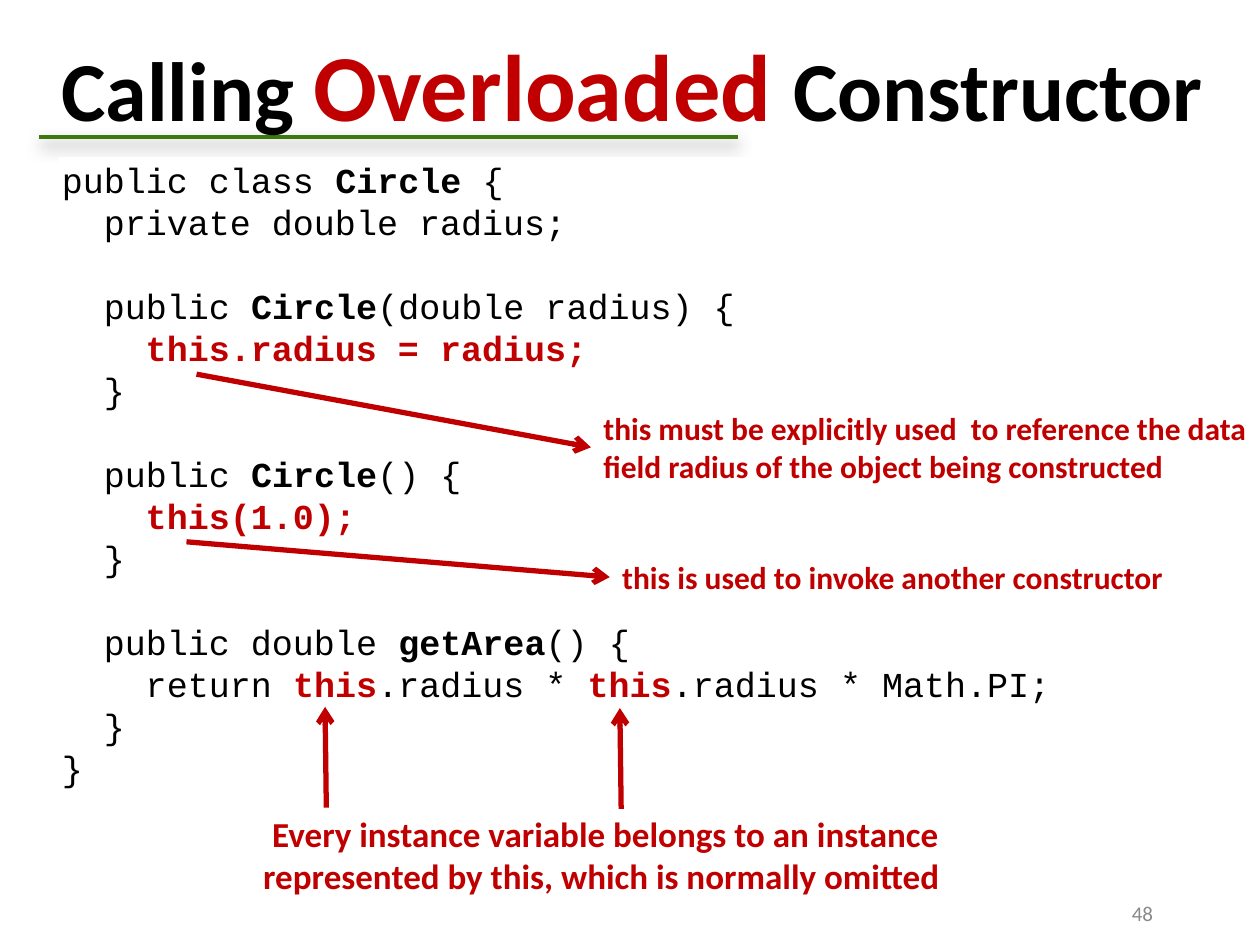
from lxml import etree
from pptx import Presentation
from pptx.dml.color import RGBColor
from pptx.enum.shapes import MSO_CONNECTOR, MSO_SHAPE
from pptx.enum.text import MSO_ANCHOR, PP_ALIGN
from pptx.oxml import parse_xml
from pptx.oxml.ns import nsdecls, qn
from pptx.util import Inches, Pt

STRAIGHT = MSO_CONNECTOR.STRAIGHT
RECTANGLE = MSO_SHAPE.RECTANGLE
TOP, MIDDLE = MSO_ANCHOR.TOP, MSO_ANCHOR.MIDDLE
LEFT, CENTER, RIGHT = PP_ALIGN.LEFT, PP_ALIGN.CENTER, PP_ALIGN.RIGHT

BLACK, RED, GREEN, GRAY, WHITE = "000000", "C00000", "3B780E", "898989", "FFFFFF"
rgb = RGBColor.from_string

prs = Presentation()
prs.slide_width, prs.slide_height = Inches(10), Inches(7.5)
COL, ROW = prs.slide_width / 100, prs.slide_height / 75
slide = prs.slides.add_slide(prs.slide_layouts[6])


def add_line(start, end, color, width):
    """Draw a straight line without a shadow between two grid points."""
    line = slide.shapes.add_connector(
        STRAIGHT, int(start[0] * COL), int(start[1] * ROW), int(end[0] * COL), int(end[1] * ROW))
    line.line.color.rgb = rgb(color)
    line.line.width = Pt(width)
    etree.SubElement(line._element.spPr, qn("a:effectLst"))
    return line


def add_text(box, text, size, color, bold=True, align=LEFT, anchor=TOP, wrap=True):
    """Add one paragraph in a box given as column, row, columns, rows."""
    left, top, width, height = box
    frame = slide.shapes.add_textbox(
        int(left * COL), int(top * ROW), int(width * COL), int(height * ROW)).text_frame
    frame.word_wrap = wrap
    frame.vertical_anchor = anchor
    paragraph = frame.paragraphs[0]
    paragraph.alignment = align
    font = paragraph.font
    font.name, font.size, font.bold = "Calibri", Pt(size), bold
    font.color.rgb = rgb(color)
    paragraph.add_run().text = text
    return paragraph


# Title with its green rule
title_rule = add_line((3.1, 10.9), (58.6, 10.9), GREEN, 2.5)
title_rule._element.spPr.find(qn("a:effectLst")).append(parse_xml(
    f'<a:outerShdw {nsdecls("a")} blurRad="{Pt(9)}" dist="{Pt(4)}" dir="5400000" rotWithShape="0">'
    f'<a:srgbClr val="{BLACK}"><a:alpha val="43000"/></a:srgbClr></a:outerShdw>'))

add_text((71.7, 70, 20.8, 5), "48", 12, GRAY, bold=False, align=RIGHT, anchor=MIDDLE)

title = add_text((3.9, 2.5, 93, 8.3), "Calling ", 48, BLACK, anchor=MIDDLE)
emphasis = title.add_run()
emphasis.text = "Overloaded "
emphasis.font.size = Pt(54)
emphasis.font.color.rgb = rgb(RED)
title.add_run().text = "Constructor"

# Code: indent level, blank line before, runs of (text, style)
PLAIN, NAME, KEY = (BLACK, False), (BLACK, True), (RED, True)
code_lines = [
    (0, False, [("public class ", PLAIN), ("Circle", NAME), (" {", PLAIN)]),
    (1, False, [("private double radius;", PLAIN)]),
    (1, True, [("public ", PLAIN), ("Circle", NAME), ("(double radius) {", PLAIN)]),
    (2, False, [("this.radius = radius;", KEY)]),
    (1, False, [("}", PLAIN)]),
    (1, True, [("public ", PLAIN), ("Circle", NAME), ("() {", PLAIN)]),
    (2, False, [("this(1.0);", KEY)]),
    (1, False, [("}", PLAIN)]),
    (1, True, [("public double ", PLAIN), ("getArea", NAME), ("() {", PLAIN)]),
    (2, False, [("return ", PLAIN), ("this", KEY), (".radius * ", PLAIN),
                ("this", KEY), (".radius * Math.PI;", PLAIN)]),
    (1, False, [("}", PLAIN)]),
    (0, False, [("}", PLAIN)]),
]
CODE_SIZE, CODE_PITCH, CODE_INDENT = Pt(20), Pt(24), Pt(24)

listing = slide.shapes.add_shape(
    RECTANGLE, int(4.7 * COL), int(12.5 * ROW), int(81.2 * COL), int(50.8 * ROW))
listing.shadow.inherit = False
listing.fill.solid()
listing.fill.fore_color.rgb = rgb(WHITE)
listing.line.color.rgb = rgb(WHITE)
listing.line.width = Pt(0.75)
code = listing.text_frame
code.word_wrap = True
code.vertical_anchor = TOP
code.margin_left, code.margin_top = Inches(0.02), Inches(0.01)
code.margin_right, code.margin_bottom = Inches(0.01), 0

for number, (level, gap_before, pieces) in enumerate(code_lines):
    paragraph = code.add_paragraph() if number else code.paragraphs[0]
    paragraph.alignment = LEFT
    paragraph.line_spacing = CODE_PITCH
    paragraph.space_before = CODE_PITCH if gap_before else 0
    paragraph._p.get_or_add_pPr().set("marL", str(level * CODE_INDENT))
    paragraph.font.name, paragraph.font.size = "Courier New", CODE_SIZE
    for text, (color, bold) in pieces:
        run = paragraph.add_run()
        run.text = text
        run.font.bold = bold
        run.font.color.rgb = rgb(color)

# Remarks and the arrows that lead to them
add_text((14.1, 64, 67.9, 7.7),
         "Every instance variable belongs to an instance represented by this, "
         "which is normally omitted ", 20, RED, align=CENTER)
add_text((46.9, 32, 53.1, 7.1),
         "this must be explicitly used  to reference the data field radius "
         "of the object being constructed", 18, RED)
add_text((48.4, 43.8, 45.3, 4), "this is used to invoke another constructor", 18, RED, wrap=False)

arrows = [
    ((15.6, 29.7), (46.9, 35.5)),
    ((14.8, 43), (48.4, 45.8)),
    ((25.9, 64.1), (25.8, 56.1)),
    ((49.3, 64.2), (49.2, 56.2)),
]
for start, end in arrows:
    arrow = add_line(start, end, RED, 3)
    etree.SubElement(arrow.line._get_or_add_ln(), qn("a:tailEnd"), type="arrow")

prs.save("out.pptx")
